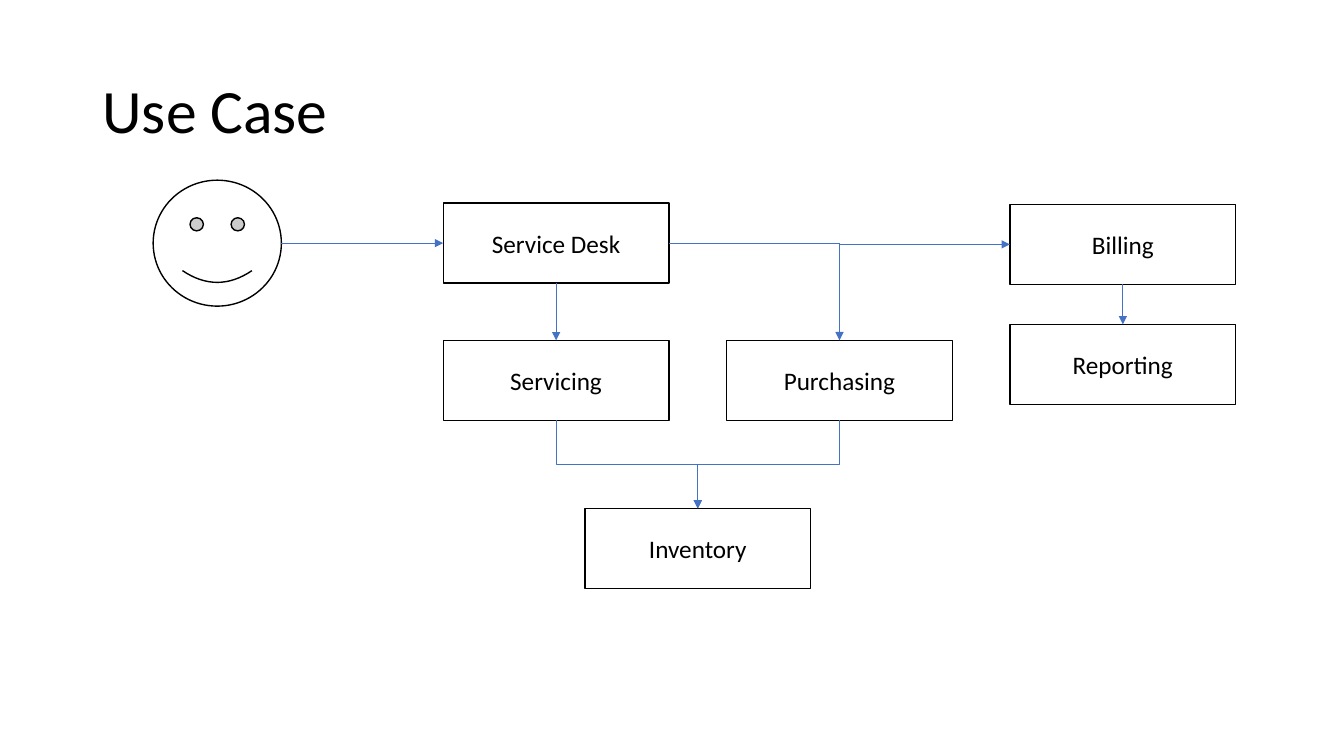
from lxml import etree
from pptx import Presentation
from pptx.dml.color import RGBColor
from pptx.enum.shapes import MSO_CONNECTOR as Connector, MSO_SHAPE as Preset
from pptx.enum.text import MSO_ANCHOR as Anchor, PP_ALIGN as Align
from pptx.oxml.ns import qn
from pptx.util import Pt

TOP, LEFT, BOTTOM, RIGHT = range(4)
SMILEY_RIGHT = 6
BOX_WIDTH, BOX_HEIGHT = 161.3, 57.2
COLUMN_STEP = 202.4


def color(value):
    return RGBColor.from_string(value)


def apply(target, formats):
    for name, value in formats.items():
        setattr(target, name, value)


def format_text(frame, text, size, align):
    apply(frame, {"text": text, "word_wrap": True, "vertical_anchor": Anchor.MIDDLE})
    paragraph = frame.paragraphs[0]
    paragraph.alignment = align
    apply(paragraph.font, {"size": Pt(size), "name": "Calibri"})
    paragraph.font.color.rgb = color("000000")
    return paragraph


def add_title(slide, left, top, width, height):
    title = slide.shapes.title
    apply(title, {"left": Pt(left), "top": Pt(top), "width": Pt(width), "height": Pt(height)})
    paragraph = format_text(title.text_frame, "Use Case", 44, Align.LEFT)
    paragraph.line_spacing = 0.9


def add_outlined(slide, preset, left, top, width, height):
    shape = slide.shapes.add_shape(preset, Pt(left), Pt(top), Pt(width), Pt(height))
    shape.shadow.inherit = False
    shape.fill.solid()
    shape.fill.fore_color.rgb = color("FFFFFF")
    shape.line.color.rgb = color("000000")
    shape.line.width = Pt(1)
    return shape


def add_box(slide, text, left, top):
    box = add_outlined(slide, Preset.RECTANGLE, left, top, BOX_WIDTH, BOX_HEIGHT)
    format_text(box.text_frame, text, 18, Align.CENTER)
    return box


def add_arrow(slide, kind, start, start_site, end, end_site):
    arrow = slide.shapes.add_connector(kind, 0, 0, 0, 0)
    arrow.begin_connect(start, start_site)
    arrow.end_connect(end, end_site)
    arrow.line.color.rgb = color("4472C4")
    arrow.line.width = Pt(0.5)
    etree.SubElement(arrow.line._get_or_add_ln(), qn("a:tailEnd"), type="triangle")
    etree.SubElement(arrow._element.spPr, qn("a:effectLst"))
    return arrow


def turn_downward(arrow):
    run, drop = arrow.end_x - arrow.begin_x, arrow.end_y - arrow.begin_y
    center_x, center_y = arrow.begin_x + run // 2, arrow.begin_y + drop // 2
    apply(arrow, {
        "left": center_x - drop // 2,
        "top": center_y - abs(run) // 2,
        "width": drop,
        "height": abs(run),
    })
    transform = arrow._element.spPr.find(qn("a:xfrm"))
    transform.set("rot", "16200000" if run > 0 else "5400000")
    transform.set("flipH", "1" if run > 0 else "0")


def add_use_case(slide, left, top):
    columns = [left + 207.2 + COLUMN_STEP * index for index in range(3)]
    user = add_outlined(slide, Preset.SMILEY_FACE, left, top, 91.6, 90)
    desk = add_box(slide, "Service Desk", columns[0], top + 16.4)
    servicing = add_box(slide, "Servicing", columns[0], top + 114.4)
    purchasing = add_box(slide, "Purchasing", columns[1], top + 114.4)
    billing = add_box(slide, "Billing", columns[2], top + 17.3)
    reporting = add_box(slide, "Reporting", columns[2], top + 103)
    inventory = add_box(slide, "Inventory", columns[0] + COLUMN_STEP / 2, top + 234.5)

    request = add_arrow(slide, Connector.STRAIGHT, user, RIGHT, desk, LEFT)
    request._element.find(".//" + qn("a:stCxn")).set("idx", str(SMILEY_RIGHT))
    for upper, lower in ((desk, servicing), (billing, reporting)):
        add_arrow(slide, Connector.STRAIGHT, upper, BOTTOM, lower, TOP)
    order = add_arrow(slide, Connector.ELBOW, desk, RIGHT, purchasing, TOP)
    order._element.spPr.find(qn("a:prstGeom")).set("prst", "bentConnector2")
    add_arrow(slide, Connector.ELBOW, desk, RIGHT, billing, LEFT)
    for source in (servicing, purchasing):
        turn_downward(add_arrow(slide, Connector.ELBOW, source, BOTTOM, inventory, TOP))


def main():
    presentation = Presentation()
    apply(presentation, {"slide_width": Pt(960), "slide_height": Pt(540)})
    slide = presentation.slides.add_slide(presentation.slide_layouts[5])
    add_title(slide, 66, 28.8, 828, 104.4)
    add_use_case(slide, 109.4, 128.7)
    presentation.save("out.pptx")


if __name__ == "__main__":
    main()
